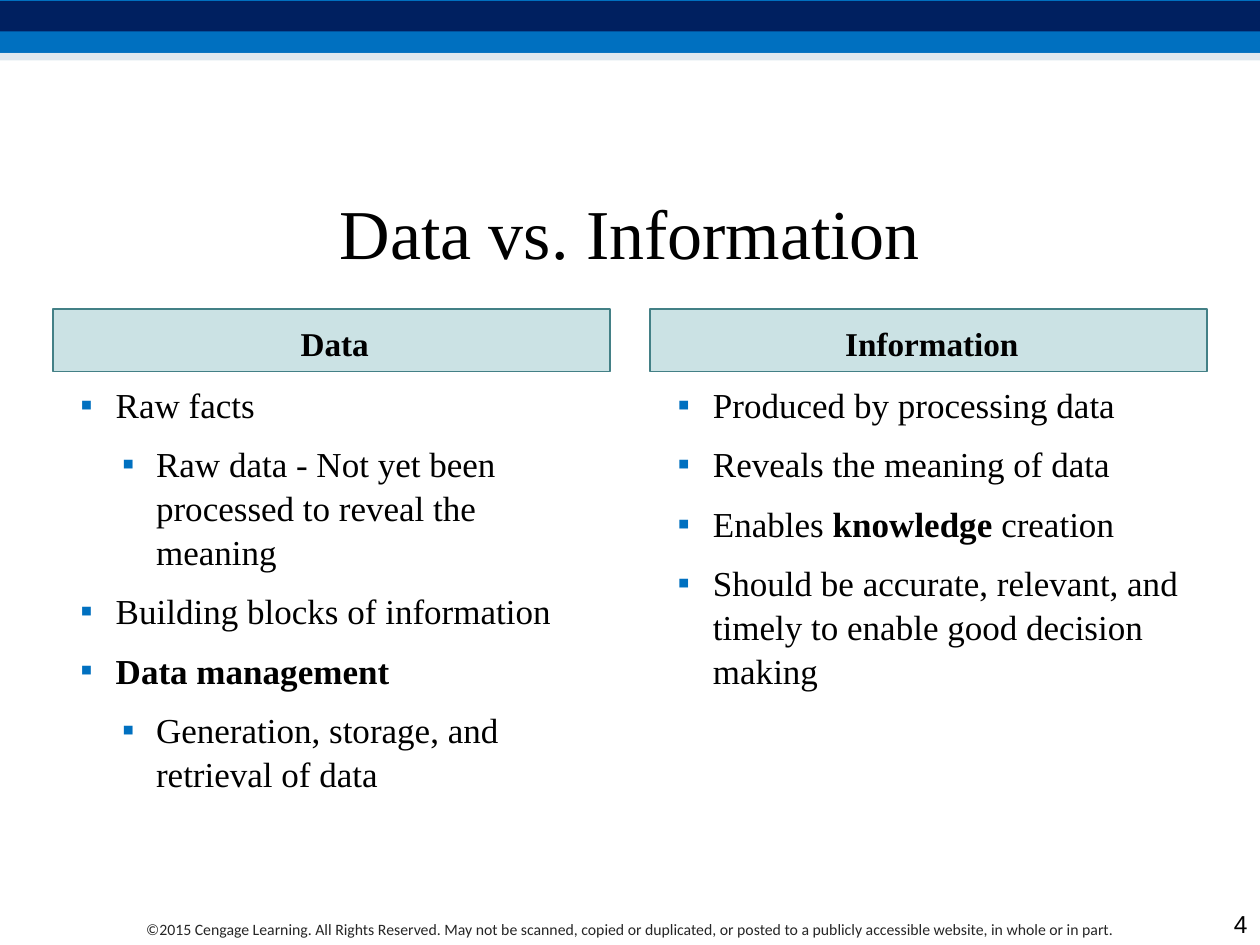
from lxml.etree import SubElement
from pptx import Presentation
from pptx.dml.color import RGBColor
from pptx.enum.shapes import MSO_SHAPE
from pptx.enum.text import MSO_ANCHOR, PP_ALIGN
from pptx.oxml.ns import qn
from pptx.util import Inches, Pt

NAVY = RGBColor(0x00, 0x20, 0x60)
BLUE = RGBColor(0x00, 0x70, 0xC0)
PALE_BLUE = RGBColor(0xBE, 0xD3, 0xE1)
TEAL = RGBColor(0x32, 0x8E, 0x97)
TEAL_EDGE = RGBColor(0x43, 0x80, 0x86)
BLACK = RGBColor(0, 0, 0)
DARK_GREY = RGBColor(0x26, 0x26, 0x26)

# Grid in inches: two equal columns between the side margins
WIDTH, HEIGHT = 10, 7.5
MARGIN, GUTTER = 0.42, 0.32
CONTENT_WIDTH = WIDTH - 2 * MARGIN
COLUMN_WIDTH = (CONTENT_WIDTH - GUTTER) / 2
HEADER_TOP, HEADER_HEIGHT = 2.45, 0.5
LIST_TOP, LIST_HEIGHT = 2.96, 4.25

SERIF = "Times New Roman"
TITLE_FONT = {"name": SERIF, "size": Pt(40)}
HEADER_FONT = {"name": SERIF, "size": Pt(19), "bold": True}
LIST_FONT = {"name": SERIF, "size": Pt(20)}
FOOTER_FONT = {"name": "Calibri", "size": Pt(9)}
NUMBER_FONT = {"name": "Arial", "size": Pt(14)}
LIST_SPACING = {"space_after": Pt(6), "line_spacing": 1.04}
INDENTS = [(0.4, -0.28), (0.72, -0.27)]  # left margin and hanging indent by level

# Each list item: level, then (text, bold) runs
COLUMNS = [
    ("Data", [
        (0, [("Raw facts", False)]),
        (1, [("Raw data - Not yet been processed to reveal the meaning", False)]),
        (0, [("Building blocks of information", False)]),
        (0, [("Data management", True)]),
        (1, [("Generation, storage, and retrieval of data", False)]),
    ]),
    ("Information", [
        (0, [("Produced by processing data", False)]),
        (0, [("Reveals the meaning of data", False)]),
        (0, [("Enables ", False), ("knowledge ", True), ("creation", False)]),
        (0, [("Should be accurate, relevant, and timely to enable good "
              "decision making", False)]),
    ]),
]
COPYRIGHT = ("©2015 Cengage Learning. All Rights Reserved. May not be scanned, "
             "copied or duplicated, or posted to a publicly accessible website, "
             "in whole or in part.")


def apply_format(target, values):
    for name, value in values.items():
        setattr(target, name, value)


def format_font(font, values, color=BLACK):
    apply_format(font, values)
    font.color.rgb = color


def add_panel(slide, box, fill, opacity=100, edge=None):
    panel = slide.shapes.add_shape(MSO_SHAPE.RECTANGLE, *map(Inches, box))
    panel.shadow.inherit = False
    panel.fill.solid()
    panel.fill.fore_color.rgb = fill
    if opacity < 100:
        color = panel.fill._xPr.find(qn("a:solidFill"))[0]
        SubElement(color, qn("a:alpha"), val=str(opacity * 1000))
    if edge is None:
        panel.line.fill.background()
    else:
        panel.line.color.rgb = edge
        panel.line.width = Pt(1)
    return panel


def add_frame(slide, box):
    frame = slide.shapes.add_textbox(*map(Inches, box)).text_frame
    frame.word_wrap = True
    return frame


def write_line(frame, text, font, align=PP_ALIGN.CENTER,
               anchor=MSO_ANCHOR.MIDDLE, color=BLACK):
    frame.vertical_anchor = anchor
    paragraph = frame.paragraphs[0]
    paragraph.text = text
    paragraph.alignment = align
    format_font(paragraph.font, font, color)
    format_font(paragraph.runs[0].font, font, color)


def add_bullet(paragraph, level):
    left, hanging = INDENTS[level]
    paragraph.level = level
    properties = paragraph._p.get_or_add_pPr()
    properties.set("marL", str(Inches(left)))
    properties.set("indent", str(Inches(hanging)))
    bullet_color = SubElement(properties, qn("a:buClr"))
    SubElement(bullet_color, qn("a:srgbClr"), val=str(BLUE))
    SubElement(properties, qn("a:buFont"), typeface=SERIF)
    SubElement(properties, qn("a:buChar"), char="▪")


def add_bullet_list(slide, box, items):
    frame = add_frame(slide, box)
    frame.margin_top = Inches(0.07)
    for index, (level, runs) in enumerate(items):
        paragraph = frame.add_paragraph() if index else frame.paragraphs[0]
        add_bullet(paragraph, level)
        apply_format(paragraph, LIST_SPACING)
        if index:
            paragraph.space_before = Pt(3)
        for text, bold in runs:
            run = paragraph.add_run()
            run.text = text
            format_font(run.font, {**LIST_FONT, "bold": bold})


def add_column(slide, index, heading, items):
    left = MARGIN + index * (COLUMN_WIDTH + GUTTER)
    header = add_panel(slide, (left, HEADER_TOP, COLUMN_WIDTH, HEADER_HEIGHT),
                       TEAL, 25, TEAL_EDGE).text_frame
    header.margin_left = Inches(0.15)
    header.margin_top = Inches(0.09)
    write_line(header, heading, HEADER_FONT)
    add_bullet_list(slide, (left, LIST_TOP, COLUMN_WIDTH, LIST_HEIGHT), items)


def main():
    deck = Presentation()
    deck.slide_width, deck.slide_height = Inches(WIDTH), Inches(HEIGHT)
    slide = deck.slides.add_slide(deck.slide_layouts[6])

    # Top bands
    add_panel(slide, (0, 0, WIDTH, 0.42), BLUE)
    add_panel(slide, (0, 0.01, WIDTH, 0.24), NAVY)
    add_panel(slide, (0, 0.42, WIDTH, 0.06), PALE_BLUE, 50)

    # Title
    title = add_frame(slide, (MARGIN, 1.25, CONTENT_WIDTH, 1.17))
    write_line(title, "Data vs. Information", TITLE_FONT)

    # Comparison columns
    for index, (heading, items) in enumerate(COLUMNS):
        add_column(slide, index, heading, items)

    # Footer
    footer = add_frame(slide, (0.58, HEIGHT - 0.25, 8.83, 0.25))
    write_line(footer, COPYRIGHT, FOOTER_FONT, anchor=MSO_ANCHOR.TOP,
               color=DARK_GREY)
    number = add_frame(slide, (WIDTH - 0.5, HEIGHT - 0.33, 0.5, 0.33))
    write_line(number, "4", NUMBER_FONT, PP_ALIGN.RIGHT, MSO_ANCHOR.BOTTOM)

    deck.save("out.pptx")


if __name__ == "__main__":
    main()
